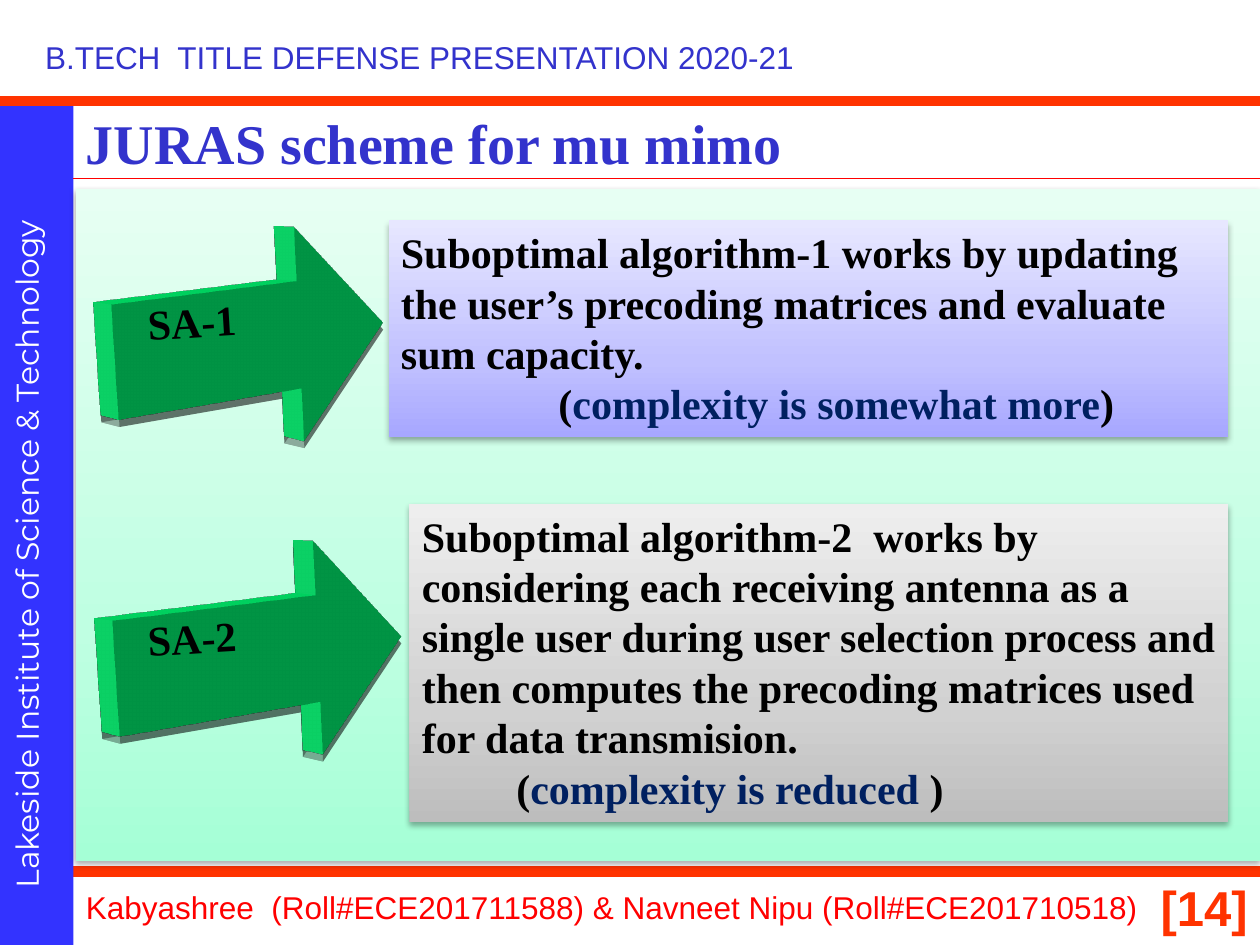
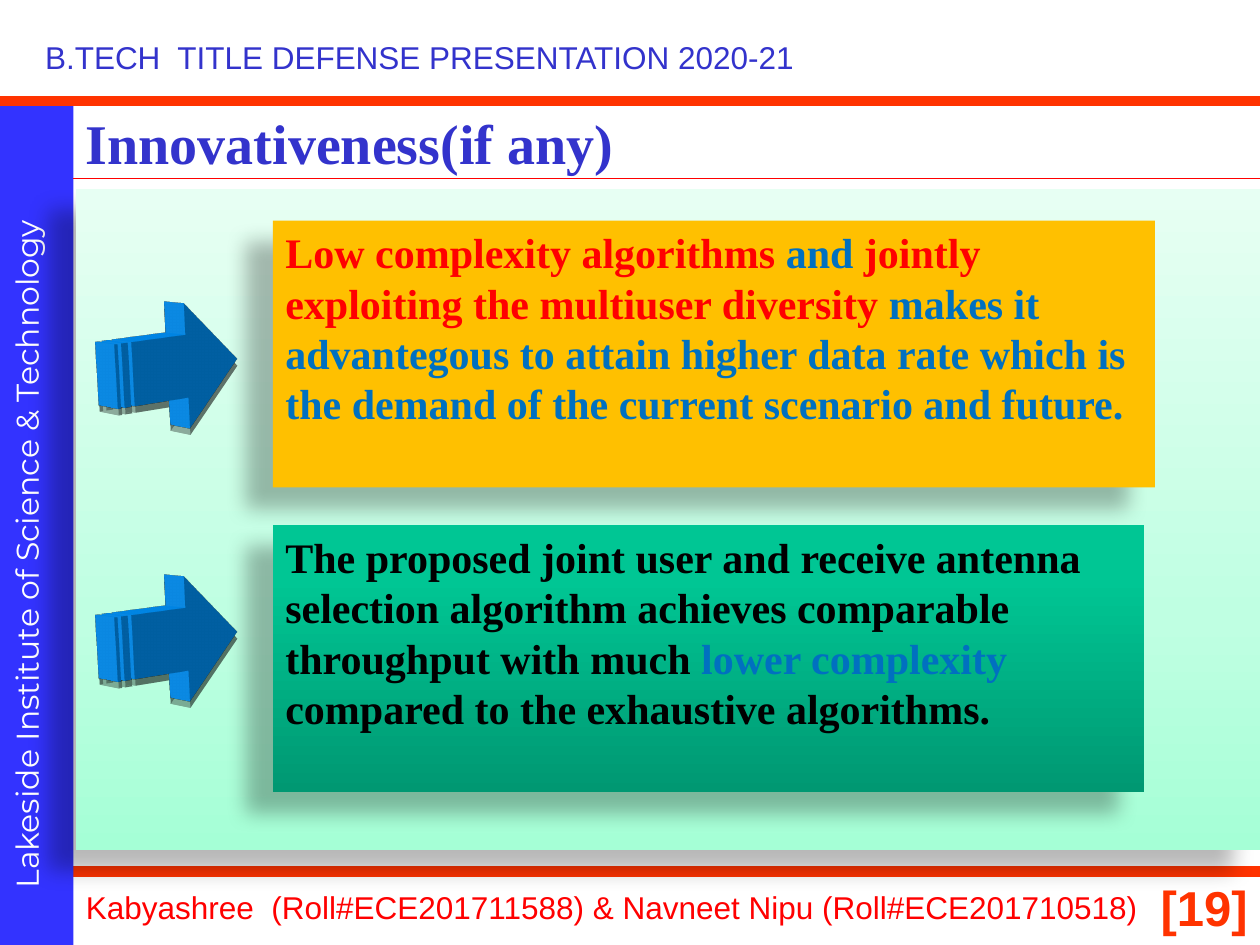
import copy
import pptx
import pptx.util
import pptx.dml.color
import pptx.enum.shapes
import pptx.enum.text
import pptx.oxml
import pptx.oxml.ns

Pt = pptx.util.Pt
RGB = pptx.dml.color.RGBColor
KIND = pptx.enum.shapes.MSO_SHAPE
STRAIGHT = pptx.enum.shapes.MSO_CONNECTOR.STRAIGHT
ALIGN = pptx.enum.text.PP_ALIGN
ANCHOR = pptx.enum.text.MSO_ANCHOR
GROW = pptx.enum.text.MSO_AUTO_SIZE.SHAPE_TO_FIT_TEXT
qn = pptx.oxml.ns.qn

# Colours
WHITE = RGB(0xFF, 0xFF, 0xFF)
BLACK = RGB(0x00, 0x00, 0x00)
RED = RGB(0xFF, 0x00, 0x00)
ORANGE = RGB(0xFF, 0x33, 0x00)
GOLD = RGB(0xFF, 0xC0, 0x00)
GREEN = RGB(0x00, 0xB0, 0x50)
BLUE = RGB(0x00, 0x70, 0xC0)
NAVY = RGB(0x00, 0x20, 0x60)
INDIGO = RGB(0x33, 0x33, 0xCC)
BAND = RGB(0x33, 0x33, 0xFF)

# Gradients, from bottom to top: position and colour
MINT = [(0, RGB(0xA5, 0xFF, 0xD6)), (0.35, RGB(0xBF, 0xFF, 0xE2)), (1, RGB(0xE7, 0xFF, 0xF3))]
LILAC = [(0, RGB(0xA7, 0xA7, 0xFF)), (0.35, RGB(0xC1, 0xC1, 0xFF)), (1, RGB(0xE7, 0xE7, 0xFF))]
GREY = [(0, RGB(0xBD, 0xBD, 0xBD)), (0.35, RGB(0xD1, 0xD1, 0xD1)), (1, RGB(0xEE, 0xEE, 0xEE))]
TEAL = [(0, RGB(0x00, 0x98, 0x72)), (0.8, RGB(0x00, 0xC6, 0x94)), (1, RGB(0x00, 0xC7, 0x95))]

# Shadows: blur, distance, angle, opacity in percent
SOFT = (3.5, 2.2, 90, 32)
DEEP = (11.8, 19.7, 141, 28)
UNDER = (17.75, 4, 87, 33)

SERIF = "Times New Roman"
SANS = "Arial"
NS = 'xmlns:a="http://schemas.openxmlformats.org/drawingml/2006/main"'
SCENE = f"""<a:scene3d {NS}>
  <a:camera prst="perspectiveFront" fov="3300000"><a:rot lat="486000" lon="19530000" rev="174000"/></a:camera>
  <a:lightRig rig="harsh" dir="t"><a:rot lat="0" lon="0" rev="3000000"/></a:lightRig>
</a:scene3d>"""
SOLID = f"""<a:sp3d {NS} extrusionH="254000" contourW="19050">
  <a:bevelT w="82550" h="44450" prst="angle"/><a:bevelB w="82550" h="44450" prst="angle"/>
  <a:contourClr><a:srgbClr val="FFFFFF"/></a:contourClr>
</a:sp3d>"""


def draw(slide, kind, box, fill, shade=None):
    """Add a shape with a plain or gradient fill and, if given, a shadow."""
    shape = slide.shapes.add_shape(kind, *[Pt(n) for n in box])
    shape.line.fill.background()
    shape.shadow.inherit = False
    props = shape._element.spPr
    if isinstance(fill, list):
        shape.fill.gradient()
        shape.fill.gradient_angle = 90
        stops = props.find(".//" + qn("a:gsLst"))
        stops.append(copy.deepcopy(stops[0]))
        for stop, (place, tone) in zip(shape.fill.gradient_stops, fill):
            stop.position = place
            stop.color.rgb = tone
    else:
        shape.fill.solid()
        shape.fill.fore_color.rgb = fill
    if shade:
        blur, dist, turn, alpha = shade
        props.find(qn("a:effectLst")).append(pptx.oxml.parse_xml(
            f'<a:outerShdw {NS} blurRad="{Pt(blur)}" dist="{Pt(dist)}" dir="{turn * 60000}" '
            f'algn="ctr" rotWithShape="0"><a:srgbClr val="000000">'
            f'<a:alpha val="{alpha * 1000}"/></a:srgbClr></a:outerShdw>'))
    return shape


def write(shape, paras, size, font, bold=False, align=ALIGN.LEFT, anchor=ANCHOR.TOP):
    """Fill a shape with paragraphs, each an indent and a list of (text, colour)."""
    frame = shape.text_frame
    frame.word_wrap = True
    frame.vertical_anchor = anchor
    for num, (indent, runs) in enumerate(paras):
        para = frame.add_paragraph() if num else frame.paragraphs[0]
        para.alignment = align
        if indent:
            para._p.get_or_add_pPr().set("marL", str(Pt(indent)))
        for text, tone in runs:
            run = para.add_run()
            run.text = text
            run.font.size = Pt(size)
            run.font.name = font
            run.font.bold = bold
            run.font.color.rgb = tone


# What each slide holds: title, page, panel height and shadow, arrows, cards
ARROW, STRIPED = KIND.RIGHT_ARROW, KIND.STRIPED_RIGHT_ARROW
pages = [
    ("JURAS scheme for mu mimo", 14, 384, SOFT,
     [(ARROW, (54, 132, 186, 126), GREEN, "SA-1"),
      (ARROW, (54, 312, 198, 126), GREEN, "SA-2")],
     [((222, 126, 480, 123.6), LILAC,
       [(0, [("Suboptimal algorithm-1 works by updating the user’s precoding matrices "
              "and evaluate sum capacity.", BLACK)]),
        (90, [("(", BLACK), ("complexity is somewhat more", NAVY), (")", BLACK)])]),
      ((234, 288, 468, 181.8), GREY,
       [(0, [("Suboptimal algorithm-2  works by considering each receiving antenna as a "
              "single user during user selection process and then computes the precoding "
              "matrices used for data transmision.", BLACK)]),
        (54, [("(", BLACK), ("complexity is reduced ", NAVY), (")", BLACK)])])]),
    ("Innovativeness(if any)", 19, 378, DEEP,
     [(STRIPED, (60, 174, 84, 72), BLUE, ""),
      (STRIPED, (60, 330, 84, 72), BLUE, "")],
     [((156, 126, 504, 152.6), GOLD,
       [(0, [("Low complexity algorithms ", RED), ("and ", BLUE),
             ("jointly exploiting the multiuser diversity ", RED),
             ("makes it advantegous to attain higher data rate which is the demand of "
              "the current scenario and future.", BLUE)])]),
      ((156, 300, 498, 152.6), TEAL,
       [(0, [("The proposed joint user and receive antenna selection algorithm achieves "
              "comparable throughput with much ", BLACK), ("lower complexity ", BLUE),
             ("compared to the exhaustive algorithms.", BLACK)])])]),
]

deck = pptx.Presentation()
deck.slide_width, deck.slide_height = Pt(720), Pt(540)

for title, page, tall, shade, arrows, cards in pages:
    slide = deck.slides.add_slide(deck.slide_layouts[6])

    # Rules, with the side band above the lowest one
    for left, top, tone, width in [(0, 498, ORANGE, 6), (0, 57.6, ORANGE, 6), (42, 102, RED, 0.75)]:
        rule = slide.shapes.add_connector(STRAIGHT, Pt(left), Pt(top), Pt(720), Pt(top))
        rule.line.color.rgb = tone
        rule.line.width = Pt(width)
        rule._element.spPr.append(pptx.oxml.parse_xml(f"<a:effectLst {NS}/>"))
        if top == 498:
            draw(slide, KIND.RECTANGLE, (0, 57.6, 42, 482.4), BAND)

    # Side label, header, names, page number and title
    labels = [
        ((-206.6, 278.6, 443.5, 28.8), "Lakeside Institute of Science & Technology", 18, "Montserrat", WHITE),
        ((18.7, 18, 446.4, 29.1), "B.TECH  TITLE DEFENSE PRESENTATION 2020-21", 18, SANS, INDIGO),
        ((42, 504, 630, 29.1), "Kabyashree  (Roll#ECE201711588) & Navneet Nipu (Roll#ECE201710518)", 18, SANS, RED),
        ((642, 498, 78, 42), f"[{page}]", 28, SANS, ORANGE),
        ((42, 58.5, 624, 45), title, 32, SERIF, INDIGO),
    ]
    for box, text, size, font, tone in labels:
        label = slide.shapes.add_textbox(*[Pt(n) for n in box])
        write(label, [(0, [(text, tone)])], size, font, bold=size > 18,
              align=ALIGN.RIGHT if size == 28 else ALIGN.LEFT,
              anchor=ANCHOR.MIDDLE if size == 32 else ANCHOR.TOP)
        if size == 18:
            label.text_frame.auto_size = GROW
        if font == "Montserrat":
            label.rotation = 270
            label.text_frame.paragraphs[0].space_before = Pt(11.2)

    # Panel
    draw(slide, KIND.RECTANGLE, (43.2, 108, 676.8, tall), MINT, shade)

    # Cards
    for box, fill, paras in cards:
        card = draw(slide, KIND.RECTANGLE, box, fill, shade)
        write(card, paras, 24, SERIF, bold=True)

    # Solid arrows
    for kind, box, fill, text in arrows:
        arrow = draw(slide, kind, box, fill, UNDER)
        for part in (SCENE, SOLID):
            arrow._element.spPr.append(pptx.oxml.parse_xml(part))
        if text:
            write(arrow, [(24, [(text, BLACK)])], 24, SERIF, bold=True)

deck.save("out.pptx")
